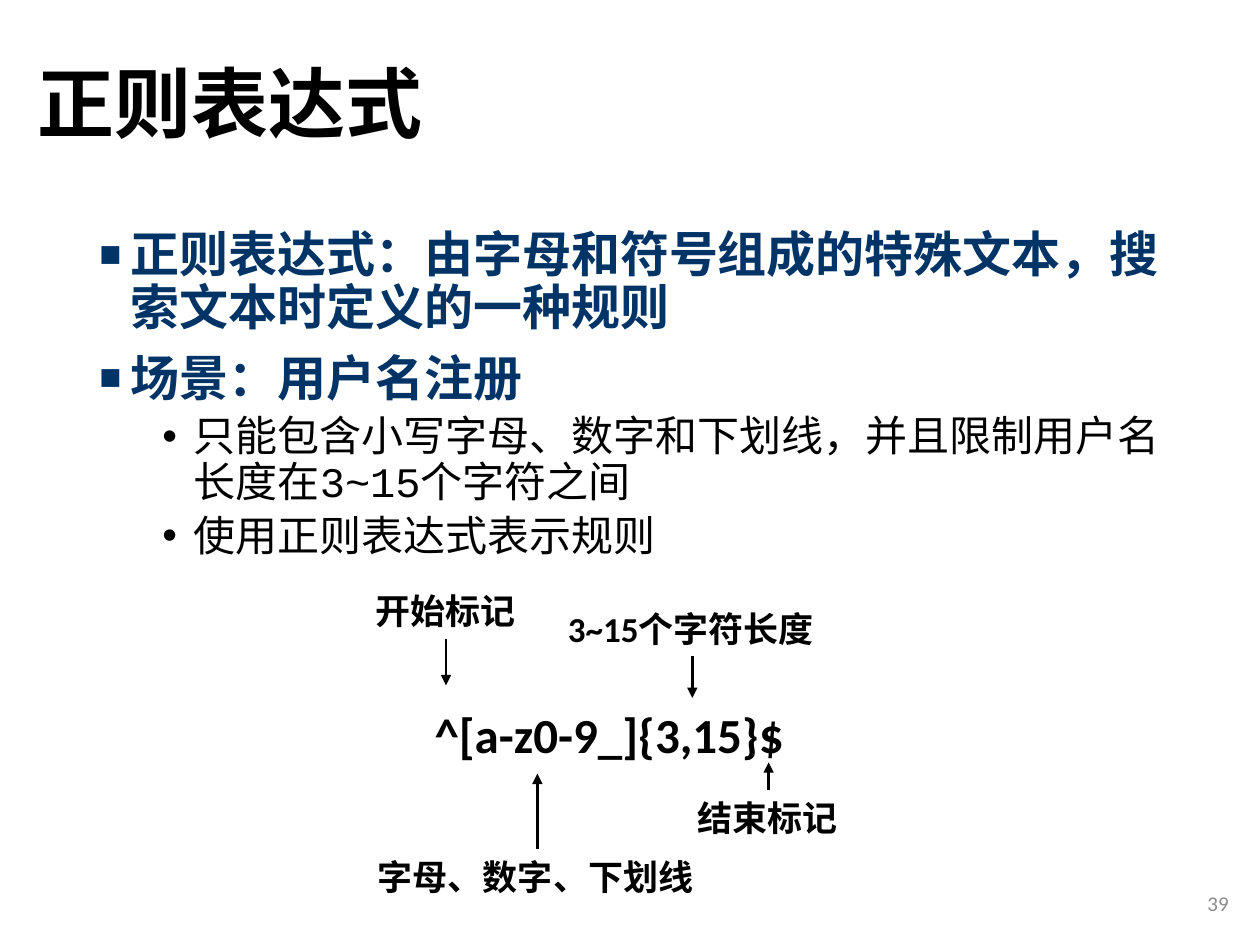
import pptx
import pptx.chart.data
import pptx.dml.color
import pptx.enum.shapes
import pptx.enum.text
import pptx.oxml
import pptx.oxml.ns
import pptx.util

SLIDE_WIDTH = pptx.util.Inches(10)
SLIDE_HEIGHT = pptx.util.Inches(7.5)
COLUMNS, ROWS = 100, 75

ANCHOR = pptx.enum.text.MSO_ANCHOR
ALIGN = pptx.enum.text.PP_ALIGN

THEME = {
    "ink": "000000",
    "cjk": "Noto Sans CJK SC",
    "title": {"size": 44, "name": "Noto Sans CJK SC", "color": "000000", "bold": True},
    "point": {"size": 28, "name": "Courier New", "color": "003366", "bold": True},
    "detail": {"size": 24, "name": "Courier New", "color": "000000", "bold": False},
    "pattern": {"size": 28, "name": "Calibri", "color": "000000", "bold": True},
    "label": {"size": 20, "name": "Calibri", "color": "000000", "bold": True},
    "number": {"size": 12, "name": "Calibri", "color": "8C8C8C", "bold": False},
}

# Per outline level: type style, bullet, bullet size in percent, left margin in inches, space before
LEVELS = [
    ("point", "■", 75, 0.25, 10),
    ("detail", "•", 100, 0.75, 5),
]

OUTLINE = [
    (0, "正则表达式：由字母和符号组成的特殊文本，搜索文本时定义的一种规则"),
    (0, "场景：用户名注册"),
    (1, "只能包含小写字母、数字和下划线，并且限制用户名长度在3~15个字符之间"),
    (1, "使用正则表达式表示规则"),
]

# Text, grid area, wrapped, side the arrow leaves (0 top, 2 bottom), row of the arrowhead
LABELS = [
    ("开始标记", (28.8, 46.3, 13.2, 4.4), False, 2, 54.4),
    ("字母、数字、下划线", (29, 67.4, 27.3, 4.4), False, 0, 61.4),
    ("3~15个字符长度", (44.1, 47.7, 21.7, 4.4), True, 2, 55.4),
    ("结束标记", (54.4, 62.7, 13.2, 4.4), False, 0, 60.5),
]


def across(columns):
    return round(SLIDE_WIDTH * columns / COLUMNS)


def down(rows):
    return round(SLIDE_HEIGHT * rows / ROWS)


def apply(target, values):
    for name, value in values.items():
        setattr(target, name, value)


def xml(tag, attributes=""):
    namespace = pptx.oxml.ns.nsdecls("a")
    return pptx.oxml.parse_xml(f"<a:{tag} {namespace} {attributes}/>")


def add_box(page, area, wrap=True, anchor=ANCHOR.TOP):
    left, top, width, height = area
    box = page.shapes.add_textbox(across(left), down(top), across(width), down(height))
    apply(box.text_frame, {
        "word_wrap": wrap,
        "auto_size": pptx.enum.text.MSO_AUTO_SIZE.NONE,
        "vertical_anchor": anchor,
    })
    return box


def write(para, text, style, **layout):
    span = para.add_run()
    span.text = text
    look = THEME[style]
    apply(span.font, {
        "size": pptx.util.Pt(look["size"]),
        "name": look["name"],
        "bold": look["bold"],
    })
    span.font.color.rgb = pptx.dml.color.RGBColor.from_string(look["color"])
    latin = span.font._element.find(pptx.oxml.ns.qn("a:latin"))
    latin.addnext(xml("ea", f'typeface="{THEME["cjk"]}"'))
    apply(para, layout)


def add_text(page, area, text, style, wrap=True, anchor=ANCHOR.TOP, **layout):
    box = add_box(page, area, wrap, anchor)
    write(box.text_frame.paragraphs[0], text, style, **layout)
    return box


def set_bullet(para, symbol, percent, margin):
    properties = para._p.get_or_add_pPr()
    properties.set("marL", str(pptx.util.Inches(margin)))
    properties.set("indent", str(pptx.util.Inches(-0.25)))
    properties.append(xml("buSzPct", f'val="{percent * 1000}"'))
    properties.append(xml("buFont", 'typeface="Arial"'))
    properties.append(xml("buChar", f'char="{symbol}"'))


def add_outline(page, area, items):
    frame = add_box(page, area).text_frame
    for index, (level, text) in enumerate(items):
        para = frame.add_paragraph() if index else frame.paragraphs[0]
        style, symbol, percent, margin, space = LEVELS[level]
        write(para, text, style, level=level, line_spacing=0.9,
              space_before=pptx.util.Pt(space))
        set_bullet(para, symbol, percent, margin)


def add_arrow(page, box, side, end_row):
    """Draw a vertical arrow from the middle of a label's side to a grid row."""
    middle = box.left + box.width // 2
    start = box.top if side == 0 else box.top + box.height
    arrow = page.shapes.add_connector(
        pptx.enum.shapes.MSO_CONNECTOR.STRAIGHT, middle, start, middle, down(end_row))
    arrow.begin_connect(box, side)
    arrow.line.width = pptx.util.Pt(1.5)
    arrow.line.color.rgb = pptx.dml.color.RGBColor.from_string(THEME["ink"])
    arrow.line._get_or_add_ln().append(xml("tailEnd", 'type="triangle"'))
    arrow._element.spPr.append(xml("effectLst"))


def main():
    deck = pptx.Presentation()
    apply(deck, {"slide_width": SLIDE_WIDTH, "slide_height": SLIDE_HEIGHT})
    page = deck.slides.add_slide(deck.slide_layouts[6])

    add_text(page, (2, 1.3, 86.2, 14.5), "正则表达式", "title",
             anchor=ANCHOR.MIDDLE, line_spacing=0.9)
    add_outline(page, (6.9, 17.8, 88, 54.3), OUTLINE)
    add_text(page, (76, 69.7, 22.5, 4), "39", "number",
             anchor=ANCHOR.MIDDLE, alignment=ALIGN.RIGHT)

    add_text(page, (33.5, 55.4, 30.1, 5.7), "^[a-z0-9_]{3,15}$", "pattern", wrap=False)
    for text, area, wrap, side, end_row in LABELS:
        label = add_text(page, area, text, "label", wrap)
        add_arrow(page, label, side, end_row)

    deck.save("out.pptx")


if __name__ == "__main__":
    main()
